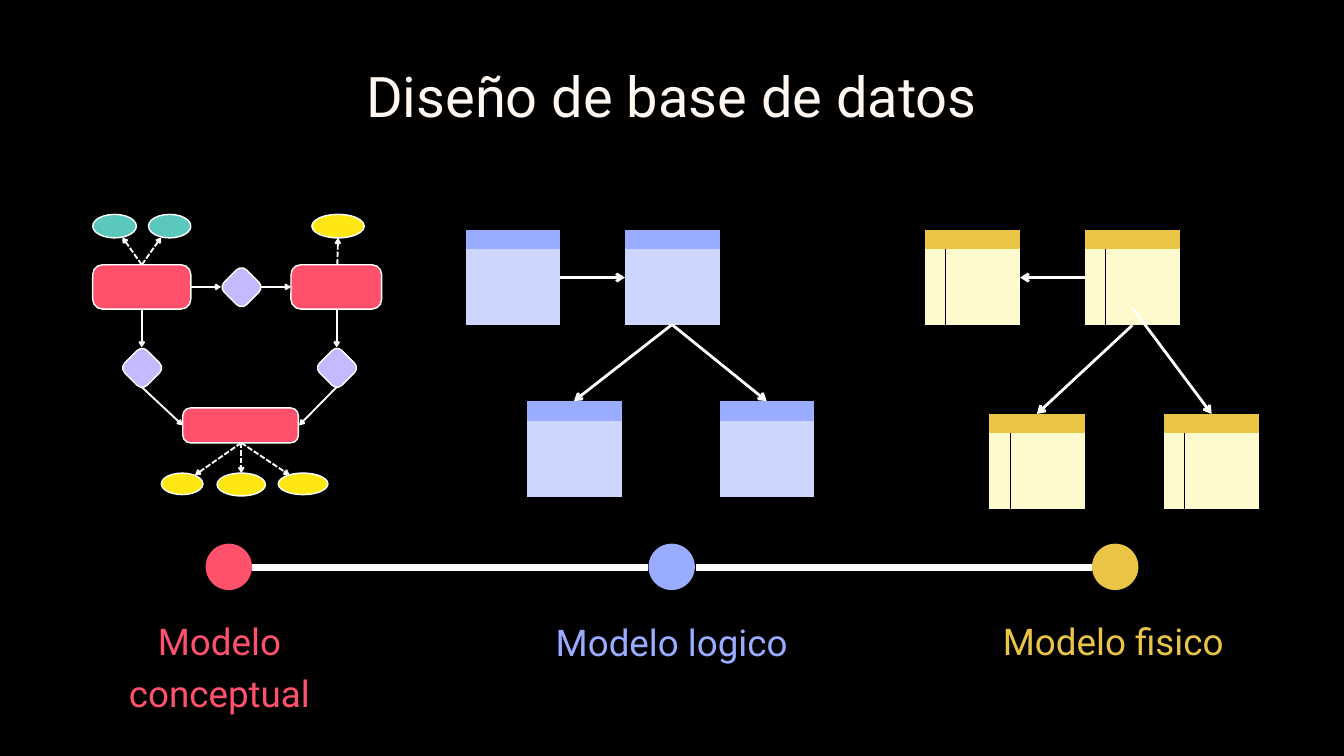
from lxml import etree
from pptx import Presentation
from pptx.dml.color import RGBColor
from pptx.enum.dml import MSO_LINE
from pptx.enum.shapes import MSO_CONNECTOR, MSO_SHAPE
from pptx.enum.text import MSO_AUTO_SIZE, PP_ALIGN
from pptx.oxml.ns import qn
from pptx.util import Pt

PX = 9144  # 100 px to the inch
OVAL = MSO_SHAPE.OVAL
BOX = MSO_SHAPE.ROUNDED_RECTANGLE
DASH = MSO_LINE.SQUARE_DOT
WHITE, BLACK, CREAM = "FFFFFF", "000000", "FFF7F1"
RED, LILAC, TEAL, YELLOW = "FF516B", "C7B9FF", "5AC8BD", "FFE713"
BLUE, PALE, GOLD, LEMON = "99ACFF", "CDD6FF", "EAC445", "FFFACD"


def paint(fill, color):
    fill.solid()
    fill.fore_color.rgb = RGBColor.from_string(color)


def link(start, end, width, dash=None, arrow=True):
    """Draw a white line, with an arrowhead at its end if wanted."""
    ends = [v * PX for v in (*start, *end)]
    line = slide.shapes.add_connector(MSO_CONNECTOR.STRAIGHT, *ends)
    paint(line.line.fill, WHITE)
    line.line.width = Pt(width)
    if dash:
        line.line.dash_style = dash
    props = line._element.spPr
    if arrow:
        etree.SubElement(props.find(qn("a:ln")), qn("a:tailEnd"), type="arrow")
    etree.SubElement(props, qn("a:effectLst"))


deck = Presentation()
deck.slide_width, deck.slide_height = 2000 * PX, 1125 * PX
slide = deck.slides.add_slide(deck.slide_layouts[6])
paint(slide.background.fill, BLACK)

# Conceptual model: entities, relations and attributes, then timeline dots
nodes = [
    (BOX, 138, 394, 146, 66, RED),
    (BOX, 433, 394, 135, 66, RED),
    (BOX, 272, 607, 172, 52, RED),
    (OVAL, 138, 319, 65, 35, TEAL),
    (OVAL, 221, 319, 63, 35, TEAL),
    (OVAL, 464, 319, 78, 35, YELLOW),
    (OVAL, 240, 704, 62, 32, YELLOW),
    (OVAL, 323, 704, 72, 34, YELLOW),
    (OVAL, 414, 704, 74, 32, YELLOW),
]
# Relations are squares turned to stand on a corner
side = 47
for mid_x, mid_y in [(359, 427), (211, 547), (501, 547)]:
    nodes.append((BOX, mid_x - side // 2, mid_y - side // 2, side, side, LILAC))
dots = [(OVAL, x, 809, 69, 69, hue)
        for x, hue in [(306, RED), (965, BLUE), (1625, GOLD)]]

for kind, x, y, w, h, hue in nodes + dots:
    node = slide.shapes.add_shape(kind, x * PX, y * PX, w * PX, h * PX)
    node.shadow.inherit = False
    paint(node.fill, hue)
    if kind == BOX:
        node.adjustments[0] = 0.22
    if hue == LILAC:
        node.rotation = 45
    if w == 69:
        node.line.fill.background()
    else:
        paint(node.line.fill, WHITE)
        node.line.width = Pt(1.5)

for start, end in [
    ((284, 427), (329, 427)),
    ((388, 427), (433, 427)),
    ((211, 460), (211, 517)),
    ((501, 460), (501, 517)),
    ((211, 576), (272, 633)),
    ((501, 576), (445, 633)),
]:
    link(start, end, 2)
for start, end in [
    ((211, 394), (182, 353)),
    ((211, 394), (240, 353)),
    ((502, 394), (503, 354)),
    ((359, 659), (290, 707)),
    ((359, 659), (359, 704)),
    ((359, 659), (431, 707)),
]:
    link(start, end, 2, DASH)

# Logical tables have one column, physical tables a key column as well
logic = [(693, 342), (930, 342), (784, 597), (1071, 597)]
real = [(1376, 342), (1614, 342), (1472, 616), (1732, 616)]
sheets = [(spot, [141], BLUE, PALE) for spot in logic]
sheets += [(spot, [31, 111], GOLD, LEMON) for spot in real]
rows = [29, 113]
bare = dict(margin_left=0, margin_right=0, margin_top=0, margin_bottom=0)

for (x, y), cols, head, body in sheets:
    frame = slide.shapes.add_table(len(rows), len(cols), x * PX, y * PX,
                                   sum(cols) * PX, sum(rows) * PX)
    grid = frame.table
    for col, w in zip(grid.columns, cols):
        col.width = w * PX
    for r, h in enumerate(rows):
        grid.rows[r].height = h * PX
        for c in range(len(cols)):
            cell = grid.cell(r, c)
            for key, val in bare.items():
                setattr(cell, key, val)
            para = cell.text_frame.paragraphs[0]._p
            etree.SubElement(para, qn("a:endParaRPr"), sz="800")
            props = cell._tc.get_or_add_tcPr()
            ruled = {"lnR": c < len(cols) - 1, "lnL": c > 0}
            for edge in ("lnL", "lnR", "lnT", "lnB"):
                rule = etree.SubElement(props, qn(f"a:{edge}"), w="9525")
                if r and ruled.get(edge):
                    ink = etree.SubElement(rule, qn("a:solidFill"))
                    etree.SubElement(ink, qn("a:srgbClr"), val=BLACK)
                else:
                    etree.SubElement(rule, qn("a:noFill"))
            paint(cell.fill, body if r else head)
    if len(cols) > 1:
        grid.cell(0, 0).merge(grid.cell(0, len(cols) - 1))

for start, end in [
    ((834, 413), (930, 413)),
    ((1000, 483), (854, 597)),
    ((1000, 483), (1141, 597)),
    ((1614, 413), (1518, 413)),
    ((1685, 484), (1543, 616)),
    ((1685, 458), (1803, 616)),
]:
    link(start, end, 3)

# Timeline
for left, right in [(375, 965), (1035, 1625)]:
    link((left, 844), (right, 844), 7.5, arrow=False)

for text, x, y, w, h, size, lead, hue in [
    ("Diseño de base de datos", 426, 75, 1147, 113, 60, 84, CREAM),
    ("Modelo conceptual", 133, 910, 387, 149, 39.4, 55.2, RED),
    ("Modelo logico", 782, 912, 435, 73, 39.4, 55.2, BLUE),
    ("Modelo fisico", 1439, 910, 435, 73, 39.4, 55.2, GOLD),
]:
    label = slide.shapes.add_textbox(x * PX, y * PX, w * PX, h * PX).text_frame
    look = dict(bare, word_wrap=True, auto_size=MSO_AUTO_SIZE.SHAPE_TO_FIT_TEXT)
    for key, val in look.items():
        setattr(label, key, val)
    para = label.paragraphs[0]
    para.alignment = PP_ALIGN.CENTER
    para.line_spacing = Pt(lead)
    run = para.add_run()
    run.text = text
    run.font.name = "Roboto"
    run.font.size = Pt(size)
    paint(run.font.fill, hue)

deck.save("out.pptx")
